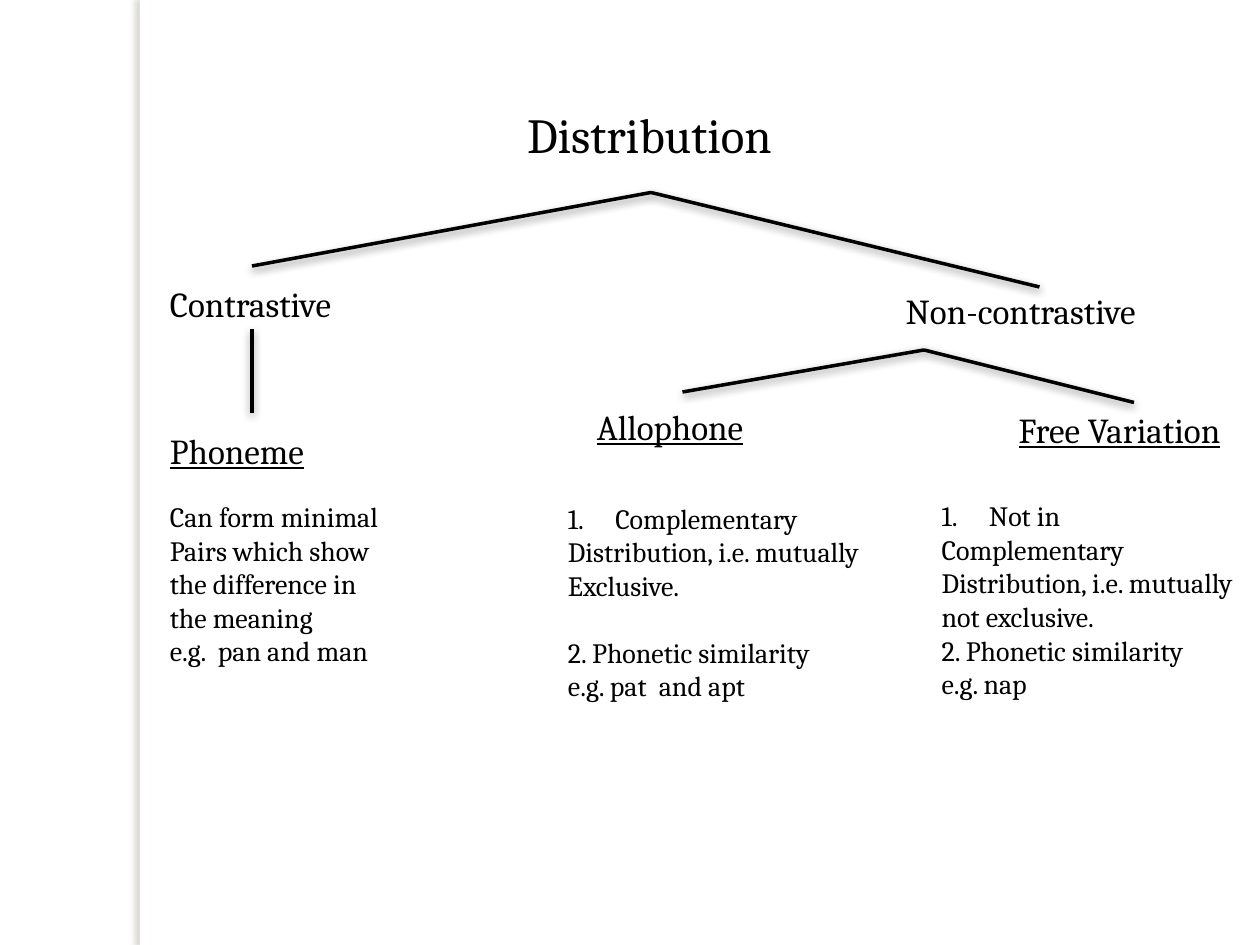
from lxml import etree
from pptx import Presentation
from pptx.dml.color import RGBColor
from pptx.enum.shapes import MSO_CONNECTOR, MSO_SHAPE
from pptx.enum.text import MSO_ANCHOR, MSO_AUTO_SIZE, PP_ALIGN
from pptx.oxml import parse_xml
from pptx.oxml.ns import qn
from pptx.util import Pt

STRAIGHT = MSO_CONNECTOR.STRAIGHT
RECTANGLE = MSO_SHAPE.RECTANGLE
TOP = MSO_ANCHOR.TOP
LEFT = PP_ALIGN.LEFT
FIT_SHAPE = MSO_AUTO_SIZE.SHAPE_TO_FIT_TEXT
TITLE_ONLY = 5
FONT = "Cambria"
BLACK, WHITE, EDGE = "000000", "FFFFFF", "736F63"
A_NS = "http://schemas.openxmlformats.org/drawingml/2006/main"
INDENT = 27
BLANK_LINE = 19

# Headings: text, box, underlined
HEADINGS = [
    ("Contrastive", (90, 158, 113, 32), False),
    ("Non-contrastive", (510.5, 162, 153, 32), False),
    ("Phoneme", (90, 242, 96, 32), True),
    ("Allophone", (334, 228, 103, 32), True),
    ("Free Variation", (575, 230, 136, 32), True),
]

# Branches: apex, ends
BRANCHES = [
    ((372, 110), [(594, 164), (144, 152)]),
    ((144, 188), [(144, 236)]),
    ((528, 200), [(648, 230), (390, 224)]),
]

# Notes: box, lines, numbered, wrapped, lines with a gap above
NOTES = [
    ((90, 282, 138, 104),
     ["Can form minimal", "Pairs which show", "the difference in",
      "the meaning", "e.g.  pan and man"], False, False, ()),
    ((317.5, 283, 189, 124),
     ["Complementary", "Distribution, i.e. mutually", "Exclusive.",
      "2. Phonetic similarity", "e.g. pat  and apt"], True, False, (3,)),
    ((531, 281.5, 207, 124),
     ["Not in", "Complementary", "Distribution, i.e. mutually",
      "not exclusive.", "2. Phonetic similarity", "e.g. nap"], True, True, ()),
]


def rgb(color):
    return RGBColor.from_string(color)


def add_shadow(shape, color, opacity, blur, distance, angle):
    shape._element.spPr.append(parse_xml(
        f'<a:effectLst xmlns:a="{A_NS}"><a:outerShdw blurRad="{Pt(blur)}" '
        f'dist="{Pt(distance)}" dir="{angle * 60000}" algn="ctr" rotWithShape="0">'
        f'<a:srgbClr val="{color}"><a:alpha val="{opacity * 1000}"/></a:srgbClr>'
        '</a:outerShdw></a:effectLst>'))


def set_hanging(p, numbered):
    pPr = p._p.get_or_add_pPr()
    pPr.set("marL", str(Pt(INDENT)))
    pPr.set("indent", str(-Pt(INDENT)))
    if numbered:
        etree.SubElement(pPr, qn("a:buAutoNum"), type="arabicPeriod")
    else:
        etree.SubElement(pPr, qn("a:buNone"))


def write_lines(sp, lines, size, underline=None, numbered=False, wrap=False, gaps=()):
    tf = sp.text_frame
    for name, value in {"word_wrap": wrap, "auto_size": FIT_SHAPE,
                        "vertical_anchor": TOP}.items():
        setattr(tf, name, value)
    for i, line in enumerate(lines):
        p = tf.paragraphs[0] if i == 0 else tf.add_paragraph()
        p.alignment = LEFT
        if i in gaps:
            p.space_before = Pt(BLANK_LINE)
        if numbered:
            set_hanging(p, i == 0)
        r = p.add_run()
        r.text = line
        for name, value in {"name": FONT, "size": Pt(size),
                            "underline": underline}.items():
            setattr(r.font, name, value)
        r.font.color.rgb = rgb(BLACK)


def add_side_band(s, box):
    band = s.shapes.add_shape(RECTANGLE, *map(Pt, box))
    band.fill.solid()
    band.fill.fore_color.rgb = rgb(WHITE)
    band.line.fill.background()
    add_shadow(band, EDGE, 25, 3, 3, 180)


def place_title(s, box, text):
    title = s.shapes.title
    for name, value in zip(("left", "top", "width", "height"), box):
        setattr(title, name, Pt(value))
    write_lines(title, [text], 28)


def add_text(s, box, lines, size, **style):
    write_lines(s.shapes.add_textbox(*map(Pt, box)), lines, size, **style)


def add_branches(s, apex, ends):
    for end in ends:
        line = s.shapes.add_connector(STRAIGHT, *map(Pt, apex + end))
        line.line.color.rgb = rgb(BLACK)
        line.line.width = Pt(2)
        add_shadow(line, BLACK, 43, 5, 2, 90)


def main():
    prs = Presentation()
    prs.slide_width, prs.slide_height = Pt(720), Pt(540)
    s = prs.slides.add_slide(prs.slide_layouts[TITLE_ONLY])

    # Band and title
    add_side_band(s, (80, 0, 6, 540))
    place_title(s, (294, 56, 162, 41), "Distribution")

    # Tree
    for apex, ends in BRANCHES:
        add_branches(s, apex, ends)
    for text, box, underline in HEADINGS:
        add_text(s, box, [text], 20, underline=underline)

    # Notes under the leaves
    for box, lines, numbered, wrap, gaps in NOTES:
        add_text(s, box, lines, 16, numbered=numbered, wrap=wrap, gaps=gaps)

    prs.save("out.pptx")


if __name__ == "__main__":
    main()
